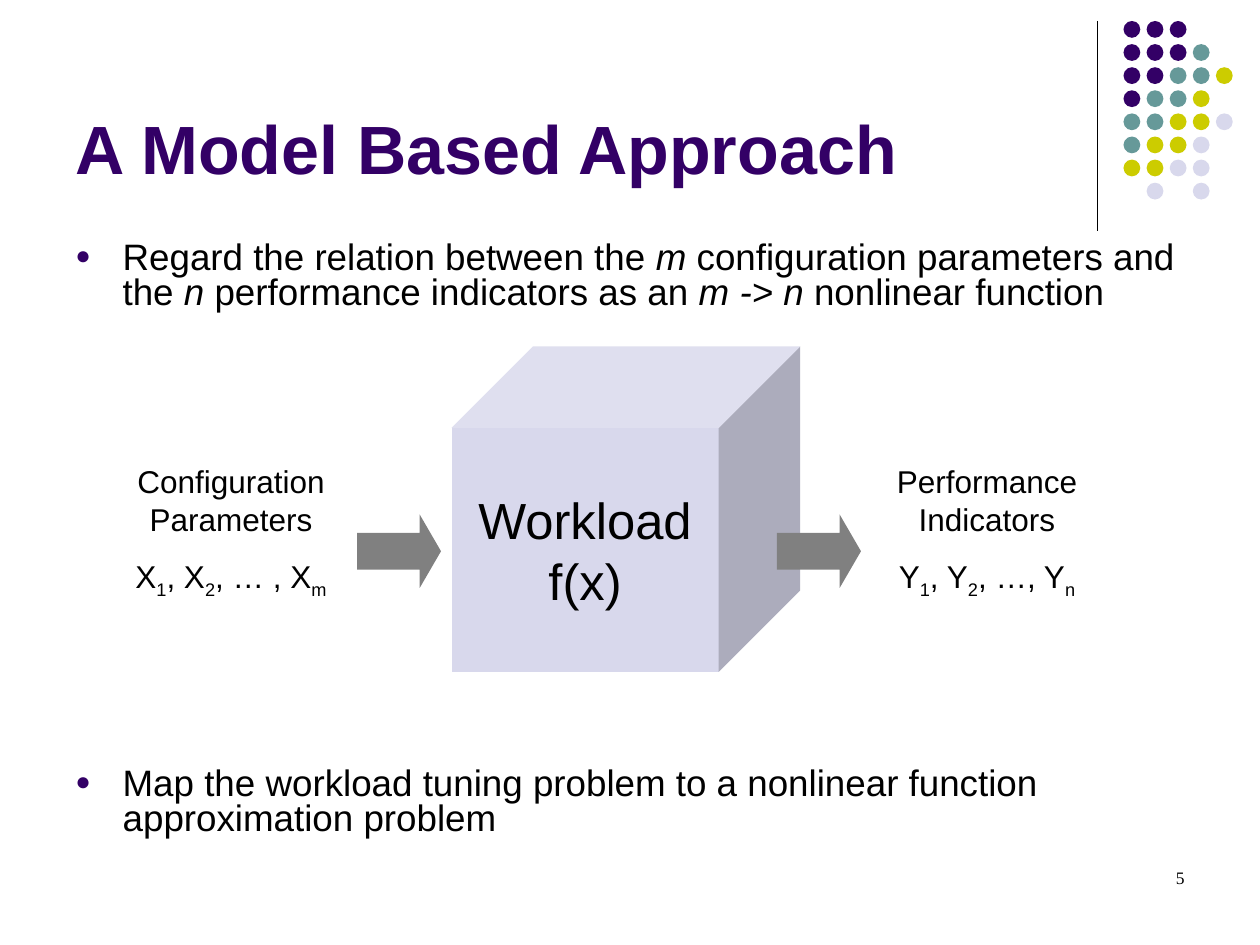
from lxml.etree import SubElement
from pptx import Presentation
from pptx.dml.color import RGBColor
from pptx.enum.shapes import MSO_CONNECTOR, MSO_SHAPE
from pptx.enum.text import MSO_ANCHOR, MSO_AUTO_SIZE, PP_ALIGN
from pptx.oxml.ns import qn
from pptx.util import Pt

PX = 7620
COLORS = {
    "purple": "330066", "teal": "669999", "lime": "CCCC00",
    "lavender": "D8D8EC", "gray": "808080", "black": "000000",
}
DOT_COLORS = {"p": "purple", "t": "teal", "l": "lime", "v": "lavender"}
DOT_ROWS = ["ppp", "pppt", "ppttl", "pttl", "ttllv", "tllv", "llvv", " v v"]


def rgb(name):
    """Return the named colour."""
    return RGBColor.from_string(COLORS[name])


def emu(*lengths):
    """Turn px lengths into EMU."""
    return [n * PX for n in lengths]


def style(p, size, color="black", font="Arial", bold=False):
    """Format every run of a paragraph."""
    for r in p.runs:
        r.font.size, r.font.name, r.font.bold = Pt(size), font, bold
        r.font.color.rgb = rgb(color)


def add_marked(p, text):
    """Add runs split at bars and return those between bars."""
    runs = []
    for part in text.split("|"):
        r = p.add_run()
        r.text = part
        runs.append(r)
    return runs[1::2]


def set_frame(tf, inset=(0, 0), anchor=MSO_ANCHOR.TOP):
    """Set wrapping, insets and anchor of a text frame."""
    tf.word_wrap, tf.auto_size = True, MSO_AUTO_SIZE.NONE
    tf.vertical_anchor = anchor
    tf.margin_left = tf.margin_right = inset[0] * PX
    tf.margin_top = tf.margin_bottom = inset[1] * PX


def add_text_box(s, box, inset=(0, 0)):
    """Add a text box and return its frame."""
    tf = s.shapes.add_textbox(*emu(*box)).text_frame
    set_frame(tf, inset)
    return tf


def add_solid(shapes, kind, box, color):
    """Add a filled shape without outline or shadow."""
    sp = shapes.add_shape(kind, *emu(*box))
    sp.shadow.inherit = False
    sp.fill.solid()
    sp.fill.fore_color.rgb = rgb(color)
    sp.line.fill.background()
    return sp


def add_ornament(s, x, y, height):
    """Draw the rule and the dot grid to its right."""
    line = s.shapes.add_connector(
        MSO_CONNECTOR.STRAIGHT, *emu(x, y, x, y + height))
    line.line.color.rgb, line.line.width = rgb("black"), Pt(0.75)
    SubElement(line._element.spPr, qn("a:effectLst"))
    group = s.shapes.add_group_shape()
    for row, keys in enumerate(DOT_ROWS):
        for col, key in enumerate(keys):
            if key != " ":
                box = (x + 25 + 22 * col, y + 22 * row, 16, 16)
                add_solid(group.shapes, MSO_SHAPE.OVAL, box, DOT_COLORS[key])


def set_title(s, box, text):
    """Place and format the title placeholder."""
    sp = s.shapes.title
    sp.left, sp.top, sp.width, sp.height = emu(*box)
    tf = sp.text_frame
    set_frame(tf, (12, 6), MSO_ANCHOR.BOTTOM)
    tf.text = text
    p = tf.paragraphs[0]
    p.alignment = PP_ALIGN.LEFT
    style(p, 39, "purple", bold=True)


def add_bullet(p):
    """Give a paragraph a hanging purple bullet."""
    pPr = p._p.get_or_add_pPr()
    pPr.set("marL", str(45 * PX))
    pPr.set("indent", str(-45 * PX))
    clr = SubElement(pPr, qn("a:buClr"))
    SubElement(clr, qn("a:srgbClr"), val=COLORS["purple"])
    SubElement(pPr, qn("a:buSzPct"), val="70000")
    SubElement(pPr, qn("a:buFont"), typeface="Arial")
    SubElement(pPr, qn("a:buChar"), char="●")


def add_bullets(s, box, texts, gap):
    """Write bullets with italic marked runs, a gap apart."""
    tf = add_text_box(s, box, (12, 6))
    for i, text in enumerate(texts):
        p = tf.add_paragraph() if i else tf.paragraphs[0]
        add_bullet(p)
        p.line_spacing = 0.8
        p.space_before = Pt(gap if i else 0)
        for r in add_marked(p, text):
            r.font.italic = True
        style(p, 21)


def add_label(s, box, heading, variables):
    """Write a heading above variables with subscripts."""
    tf = add_text_box(s, box)
    tf.text = heading
    p = tf.add_paragraph()
    p.space_before = Pt(11.2)
    for r in add_marked(p, variables):
        r._r.get_or_add_rPr().set("baseline", "-25000")
    for p in tf.paragraphs:
        p.alignment = PP_ALIGN.CENTER
        style(p, 18)


def add_model(s, x, y):
    """Draw the workload cube with its inputs and outputs."""
    cube = add_solid(s.shapes, MSO_SHAPE.CUBE, (x + 320, y, 332, 310), "lavender")
    tf = cube.text_frame
    set_frame(tf, anchor=MSO_ANCHOR.MIDDLE)
    tf.text = "Workload\nf(x)"
    for p in tf.paragraphs:
        p.alignment = PP_ALIGN.CENTER
        style(p, 29)
    labels = [("Configuration Parameters", "X|1|, X|2|, … , X|m|"),
              ("Performance Indicators", "Y|1|, Y|2|, …, Y|n|")]
    for i, (heading, variables) in enumerate(labels):
        add_label(s, (x + 720 * i, y + 110, 220, 132), heading, variables)
        arrow = add_solid(s.shapes, MSO_SHAPE.RIGHT_ARROW,
                          (x + 230 + 400 * i, y + 160, 80, 70), "gray")
        arrow.adjustments[1] = 0.29


def add_page_number(s, box, number):
    """Write the page number at the right of its box."""
    tf = add_text_box(s, box, (12, 6))
    tf.text = number
    p = tf.paragraphs[0]
    p.alignment = PP_ALIGN.RIGHT
    style(p, 10, font="Times New Roman")


def main():
    """Build the slide and save it."""
    prs = Presentation()
    prs.slide_width, prs.slide_height = emu(1200, 900)
    s = prs.slides.add_slide(prs.slide_layouts[5])
    add_ornament(s, 1045, 20, 200)
    set_title(s, (60, 15, 990, 170), "A Model Based Approach")
    add_bullets(s, (60, 225, 1080, 578), [
        "Regard the relation between the |m| configuration parameters and "
        "the |n| performance indicators as an |m -> n| nonlinear function",
        "Map the workload tuning problem to a nonlinear function "
        "approximation problem",
    ], 260)
    add_model(s, 110, 330)
    add_page_number(s, (860, 820, 280, 60), "5")
    prs.save("out.pptx")


if __name__ == "__main__":
    main()
